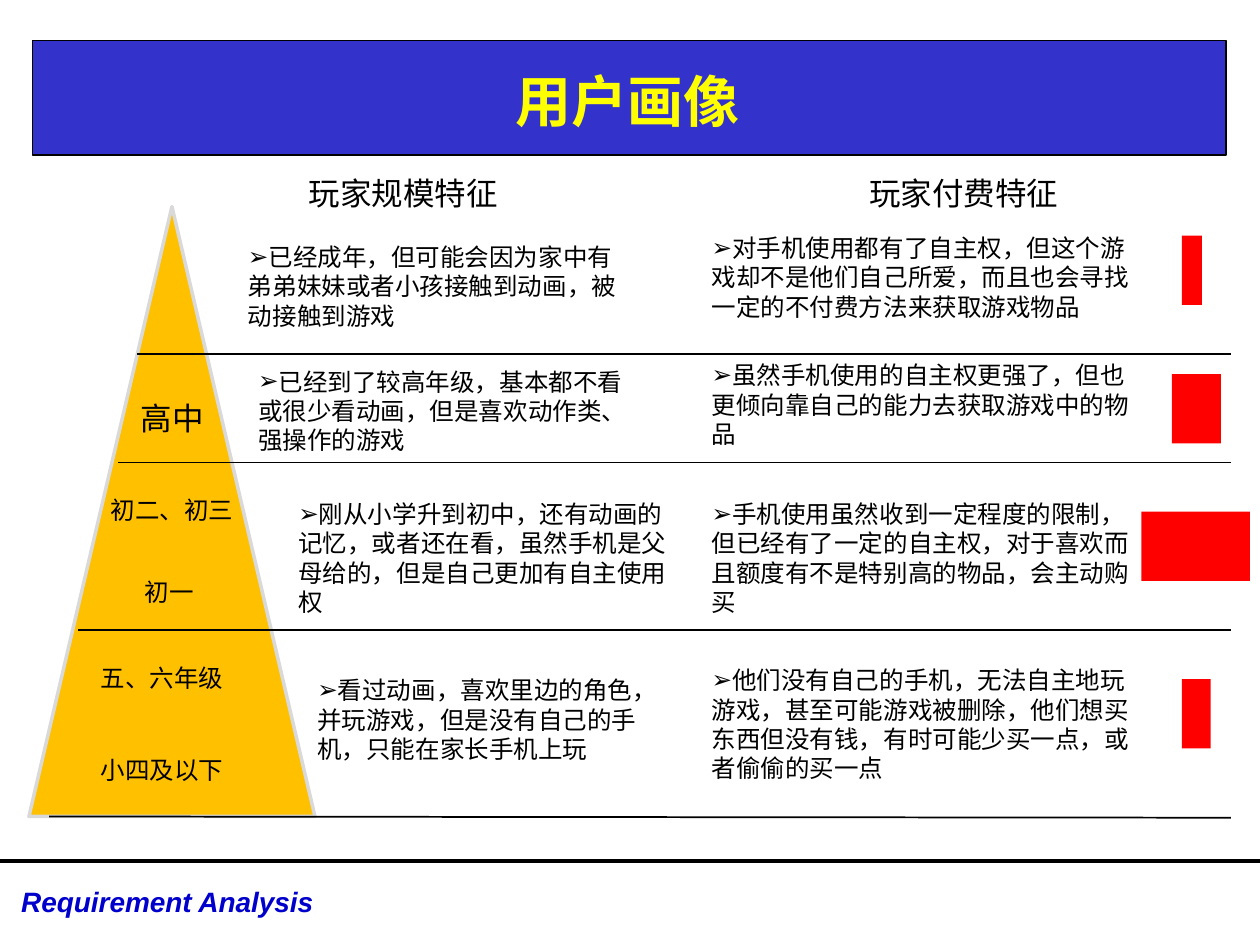
"""Build the user portrait slide: a pyramid of player ages with traits and spending."""
import pptx
import pptx.util
import pptx.dml.color
import pptx.enum.shapes
import pptx.enum.text
import pptx.oxml
import pptx.oxml.ns

Inches, Pt = pptx.util.Inches, pptx.util.Pt
SHAPE = pptx.enum.shapes.MSO_SHAPE
TEXT = pptx.enum.text

HUES = {"blue": "3333CC", "navy": "0000CC", "yellow": "FFFF00", "gold": "FFC000",
        "gray": "D9D9D9", "red": "FF0000", "black": "000000"}
CJK = "Noto Sans CJK SC"

FORMS = {
    "title": {"size": Pt(32), "name": CJK, "bold": True, "hue": "yellow"},
    "head": {"size": Pt(18), "name": CJK, "hue": "black"},
    "body": {"size": Pt(14), "name": CJK, "hue": "black"},
    "foot": {"size": Pt(16), "name": "Arial", "bold": True, "italic": True, "hue": "navy"},
}

HEADS = [("玩家规模特征", 2.35), ("玩家付费特征", 6.8)]

AGES = [
    ("高中", 1.02, 3.12, 0.71, "head"),
    ("初二、初三", 0.78, 3.88, 1.18, "body"),
    ("初一", 1.05, 4.53, 0.59, "body"),
    ("五、六年级", 0.7, 5.21, 1.18, "body"),
    ("小四及以下", 0.7, 5.94, 1.18, "body"),
]

TRAITS = [
    ("已经成年，但可能会因为家中有弟弟妹妹或者小孩接触到动画，被动接触到游戏", 1.87, 1.87, 3.2, 0.81),
    ("已经到了较高年级，基本都不看或很少看动画，但是喜欢动作类、强操作的游戏", 1.95, 2.86, 3.2, 0.81),
    ("刚从小学升到初中，还有动画的记忆，或者还在看，虽然手机是父母给的，但是自己更加有自主使用权",
     2.27, 3.91, 3.2, 1.04),
    ("看过动画，喜欢里边的角色，并玩游戏，但是没有自己的手机，只能在家长手机上玩", 2.42, 5.31, 2.89, 0.81),
]

SPEND = [
    ("对手机使用都有了自主权，但这个游戏却不是他们自己所爱，而且也会寻找一定的不付费方法来获取游戏物品", 1.8, 0.81),
    ("虽然手机使用的自主权更强了，但也更倾向靠自己的能力去获取游戏中的物品", 2.81, 0.81),
    ("手机使用虽然收到一定程度的限制，但已经有了一定的自主权，对于喜欢而且额度有不是特别高的物品，会主动购买",
     3.91, 1.04),
    ("他们没有自己的手机，无法自主地玩游戏，甚至可能游戏被删除，他们想买东西但没有钱，有时可能少买一点，或者偷偷的买一点",
     5.23, 1.04),
]

BARS = [(9.38, 1.87, 0.16), (9.3, 2.97, 0.39), (9.06, 4.06, 0.86), (9.38, 5.39, 0.23)]
RULES = [(0.39, 6.48, 6.49), (0.62, 5, 5), (0.94, 3.67, 3.67), (1.09, 2.81, 2.81)]


def tint(name):
    return pptx.dml.color.RGBColor.from_string(HUES[name])


def add_tag(node, tag, **attrs):
    child = pptx.oxml.parse_xml(f"<{tag} {pptx.oxml.ns.nsdecls('a')}/>")
    for key, value in attrs.items():
        child.set(key, value)
    node.append(child)


def add_form(slide, kind, spot, fill, line=None, width=1):
    shape = slide.shapes.add_shape(kind, *map(Inches, spot))
    shape.shadow.inherit = False
    shape.fill.solid()
    shape.fill.fore_color.rgb = tint(fill)
    if line:
        shape.line.color.rgb = tint(line)
        shape.line.width = Pt(width)
    else:
        shape.line.fill.background()


def add_rule(slide, start, end, width):
    rule = slide.shapes.add_connector(pptx.enum.shapes.MSO_CONNECTOR.STRAIGHT,
                                      *map(Inches, start + end))
    rule.line.color.rgb = tint("black")
    rule.line.width = Pt(width)
    add_tag(rule._element.spPr, "a:effectLst")


def add_text(slide, text, spot, form, wrap=False, mark=False):
    box = slide.shapes.add_textbox(*map(Inches, spot))
    frame = box.text_frame
    frame.word_wrap = wrap
    frame.auto_size = TEXT.MSO_AUTO_SIZE.SHAPE_TO_FIT_TEXT
    para = frame.paragraphs[0]
    if mark:
        props = para._p.get_or_add_pPr()
        props.set("marL", "0")
        props.set("indent", "0")
        add_tag(props, "a:buFont", typeface="Arial")
        add_tag(props, "a:buChar", char="➢")
    run = para.add_run()
    run.text = text
    for key, value in FORMS[form].items():
        if key == "hue":
            run.font.color.rgb = tint(value)
        else:
            setattr(run.font, key, value)
    add_tag(run._r.get_or_add_rPr(), "a:ea", typeface=FORMS[form]["name"])
    return frame


def main():
    deck = pptx.Presentation()
    deck.slide_width, deck.slide_height = Inches(10), Inches(7.5)
    slide = deck.slides.add_slide(deck.slide_layouts[6])

    add_form(slide, SHAPE.RECTANGLE, (0.26, 0.32, 9.47, 0.91), "blue", "black", 0.75)
    add_rule(slide, (0, 6.83), (10, 6.83), 2.25)
    add_text(slide, "Requirement Analysis", (0.07, 6.97, 2.91, 0.37), "foot", wrap=True)
    title = add_text(slide, "用户画像", (0.26, 0.36, 9.45, 0.87), "title", wrap=True)
    title.auto_size = TEXT.MSO_AUTO_SIZE.NONE
    title.vertical_anchor = TEXT.MSO_ANCHOR.MIDDLE
    title.paragraphs[0].alignment = TEXT.PP_ALIGN.CENTER

    add_form(slide, SHAPE.ISOSCELES_TRIANGLE, (0.23, 1.64, 2.27, 4.84), "gold", "gray", 2)
    for left, top, end in RULES:
        add_rule(slide, (left, top), (9.77, end), 1)
    for text, left in HEADS:
        add_text(slide, text, (left, 1.33, 1.72, 0.4), "head")
    for text, left, top, width, form in AGES:
        height = 0.4 if form == "head" else 0.34
        add_text(slide, text, (left, top, width, height), form)
    for text, *spot in TRAITS:
        add_text(slide, text, spot, "body", wrap=True, mark=True)
    for text, top, height in SPEND:
        add_text(slide, text, (5.55, top, 3.59, height), "body", wrap=True, mark=True)
    for left, top, width in BARS:
        add_form(slide, SHAPE.RECTANGLE, (left, top, width, 0.55), "red")

    deck.save("out.pptx")


if __name__ == "__main__":
    main()
